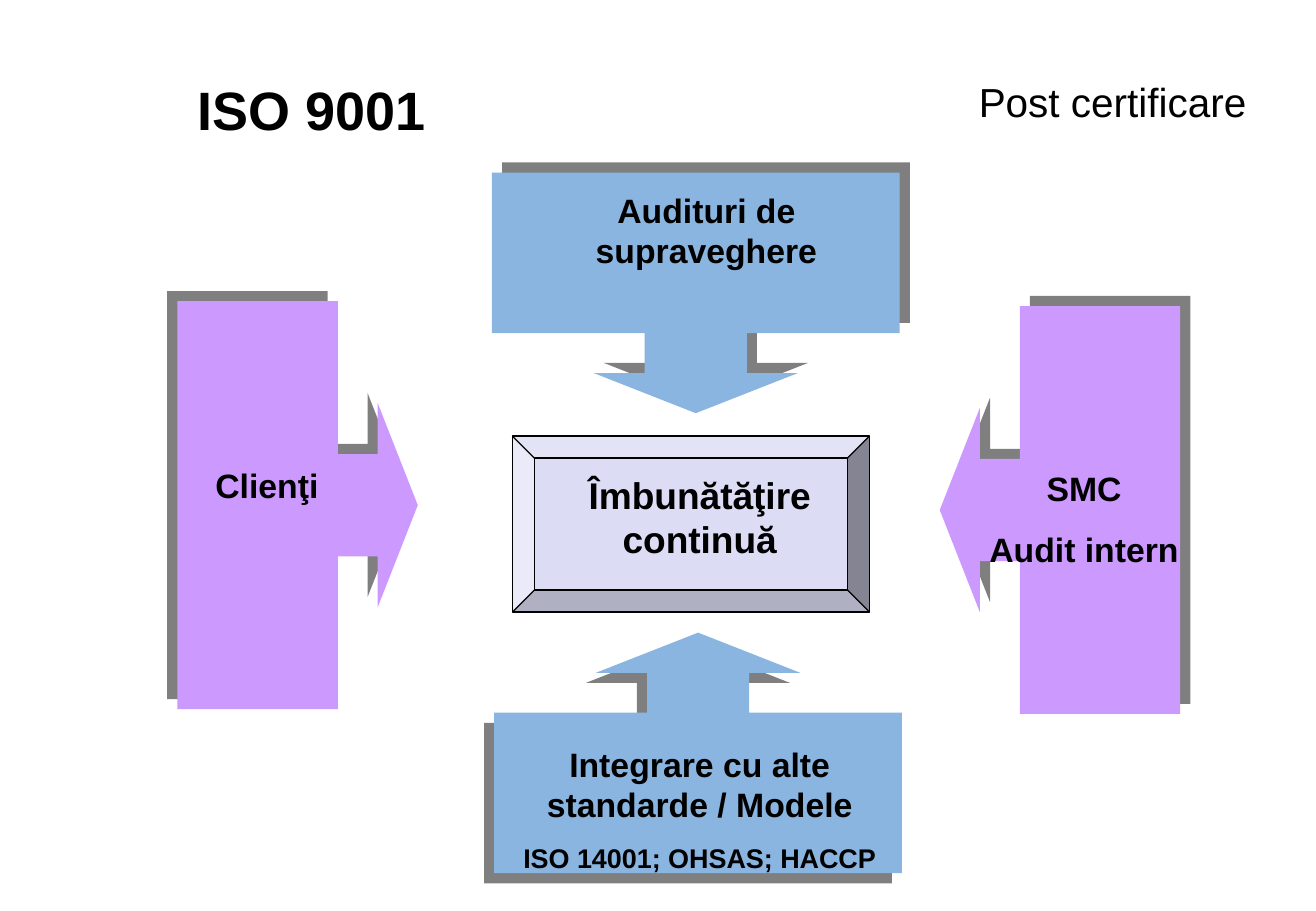
from dataclasses import dataclass

from lxml.etree import SubElement
from pptx import Presentation
from pptx.dml.color import RGBColor
from pptx.enum.shapes import MSO_SHAPE
from pptx.enum.text import MSO_ANCHOR, PP_ALIGN
from pptx.oxml.ns import qn
from pptx.shapes.autoshape import Shape
from pptx.slide import Slide
from pptx.util import Cm, Pt

HUES = {
    "black": "000000",
    "blue": "8AB5E0",
    "purple": "CC99FF",
    "lilac": "DCDCF4",
}


@dataclass
class Arrow:
    left: float
    top: float
    turn: int
    hue: str
    shade: int


@dataclass
class Label:
    lines: list[tuple[str, int]]
    left: float
    top: float
    width: float
    height: float


ARROWS = [
    Arrow(17.91, 8.15, 270, "purple", 315),
    Arrow(10.29, 3.61, 180, "blue", 315),
    Arrow(1.96, 8.05, 90, "purple", 225),
    Arrow(10.34, 13.23, 0, "blue", 135),
]

LABELS = [
    Label([("Audituri de supraveghere", 20)], 11.91, 3.84, 5.74, 1.96),
    Label([("Îmbunătăţire continuă", 22)], 11.07, 9.75, 7.14, 2.13),
    Label([("SMC", 20), ("Audit intern", 20)], 20.32, 9.65, 4.72, 2.39),
    Label(
        [("Integrare cu alte standarde / Modele", 20), ("ISO 14001; OHSAS; HACCP", 16)],
        10.13, 15.42, 9.02, 3,
    ),
    Label([("Clienţi", 20)], 2.92, 9.6, 5.33, 2.39),
]


def color(name: str) -> RGBColor:
    return RGBColor.from_string(HUES[name])


def add_text(slide: Slide, label: Label, *, bold: bool = True, wrap: bool = True,
             align: PP_ALIGN = PP_ALIGN.CENTER,
             anchor: MSO_ANCHOR = MSO_ANCHOR.TOP) -> None:
    box = slide.shapes.add_textbox(
        Cm(label.left), Cm(label.top), Cm(label.width), Cm(label.height))
    frame = box.text_frame
    frame.word_wrap = wrap
    frame.vertical_anchor = anchor
    for index, (text, size) in enumerate(label.lines):
        para = frame.add_paragraph() if index else frame.paragraphs[0]
        para.text = text
        para.alignment = align
        if index:
            para.space_before = Pt(size * 0.625)
        font = para.font
        font.name = "Arial"
        font.size = Pt(size)
        font.bold = bold
        font.color.rgb = color("black")


def add_shade(shape: Shape, angle: int) -> None:
    shape.shadow.inherit = False
    effects = shape._element.spPr.find(qn("a:effectLst"))
    shade = SubElement(effects, qn("a:outerShdw"), dist=str(Pt(8.5)),
                       dir=str(angle * 60000), algn="ctr", rotWithShape="0")
    tone = SubElement(shade, qn("a:srgbClr"), val=HUES["black"])
    SubElement(tone, qn("a:alpha"), val="50000")


def add_arrow(slide: Slide, arrow: Arrow) -> None:
    shape = slide.shapes.add_shape(
        MSO_SHAPE.UP_ARROW_CALLOUT, Cm(arrow.left), Cm(arrow.top), Cm(8.53), Cm(5.03))
    for index, value in enumerate((0.425, 0.425, 0.167, 0.667)):
        shape.adjustments[index] = value
    shape.rotation = arrow.turn
    shape.fill.solid()
    shape.fill.fore_color.rgb = color(arrow.hue)
    shape.line.fill.background()
    add_shade(shape, arrow.shade)


def add_core(slide: Slide) -> None:
    core = slide.shapes.add_shape(
        MSO_SHAPE.BEVEL, Cm(10.72), Cm(9.12), Cm(7.47), Cm(3.68))
    core.adjustments[0] = 0.125
    core.shadow.inherit = False
    core.fill.solid()
    core.fill.fore_color.rgb = color("lilac")
    core.line.color.rgb = color("black")
    core.line.width = Pt(0.75)


def main() -> None:
    deck = Presentation()
    deck.slide_width = Cm(27.53)
    deck.slide_height = Cm(19.05)
    slide = deck.slides.add_slide(deck.slide_layouts[6])
    add_text(slide, Label([("Post certificare", 24)], 19.02, 1.07, 8.51, 2.11),
             bold=False, anchor=MSO_ANCHOR.MIDDLE)
    add_core(slide)
    for arrow in ARROWS:
        add_arrow(slide, arrow)
    for label in LABELS:
        add_text(slide, label)
    add_text(slide, Label([("ISO 9001", 32)], 3.89, 1.47, 5.28, 1.63),
             wrap=False, align=PP_ALIGN.LEFT)
    deck.save("out.pptx")


if __name__ == "__main__":
    main()
